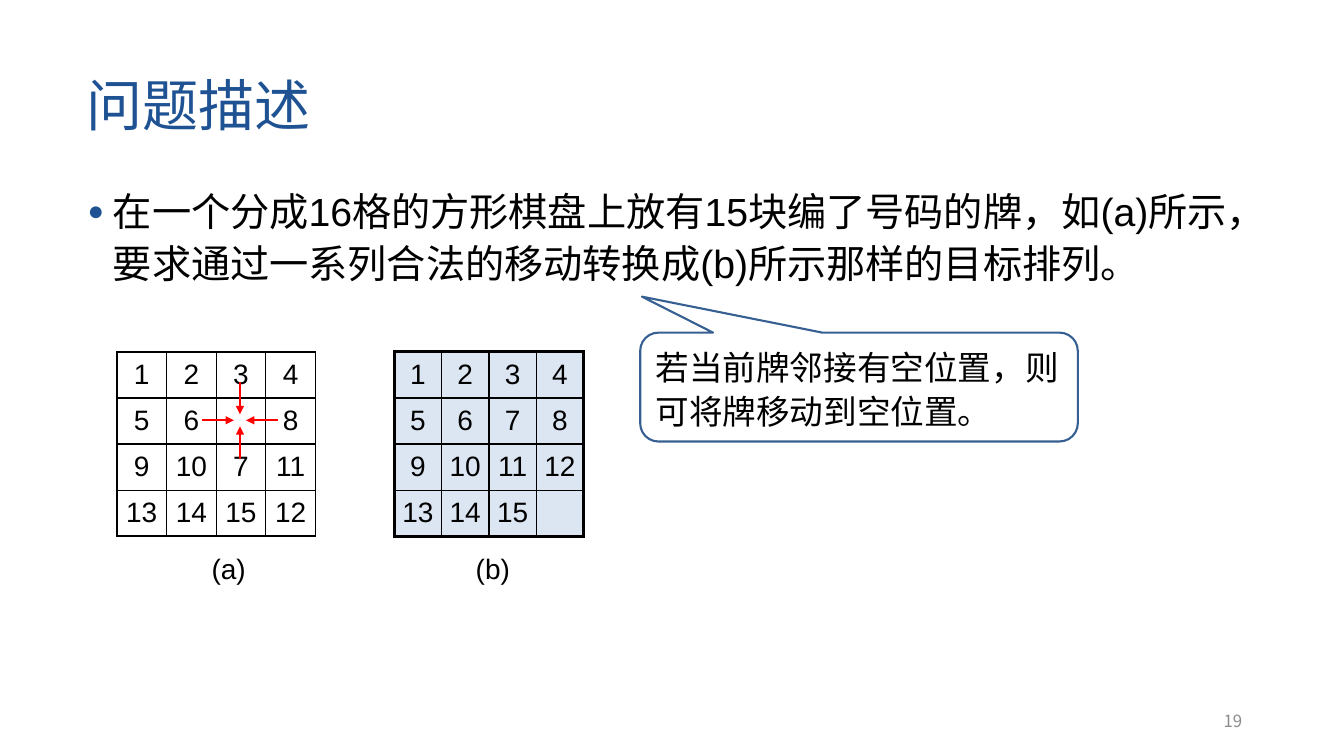
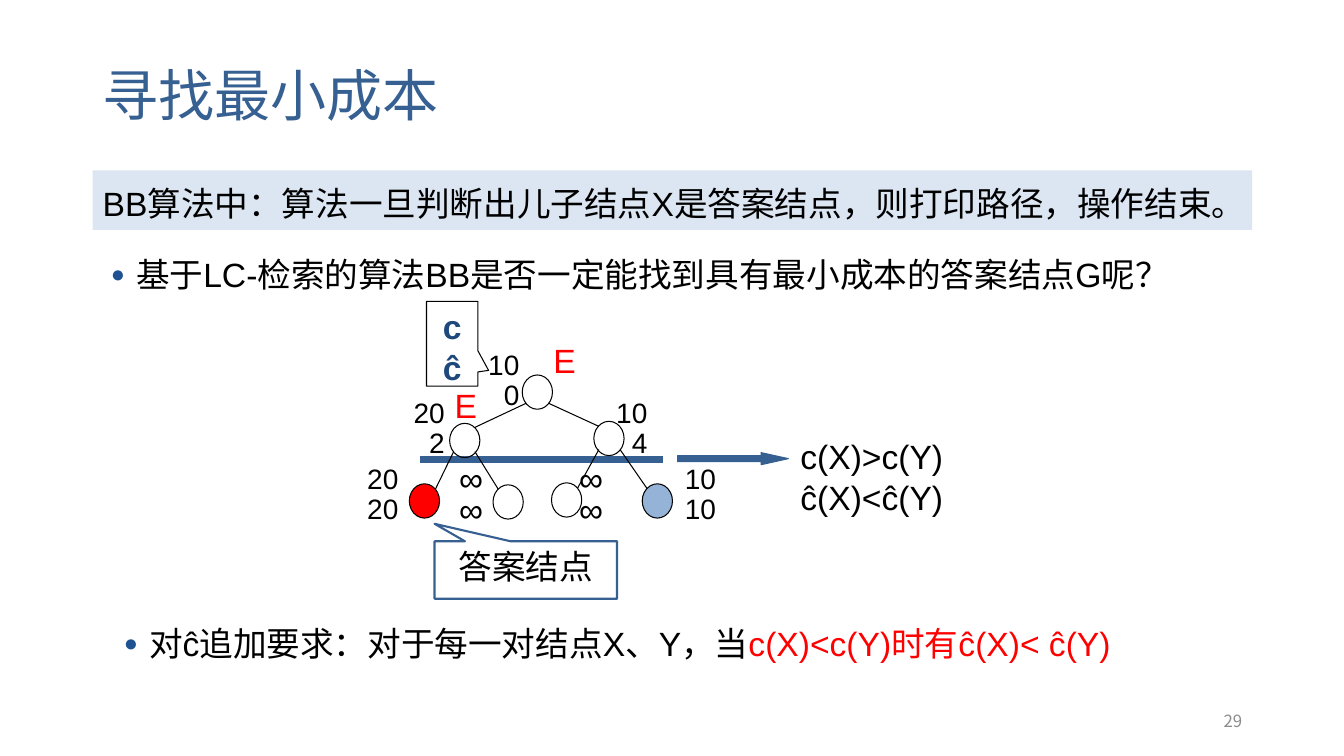
import lxml.etree
import pptx
import pptx.dml.color
import pptx.enum.shapes
import pptx.enum.text
import pptx.oxml.ns
import pptx.util

Inches = pptx.util.Inches
Pt = pptx.util.Pt
qn = pptx.oxml.ns.qn
Shape = pptx.enum.shapes.MSO_SHAPE
Align = pptx.enum.text.PP_ALIGN
Anchor = pptx.enum.text.MSO_ANCHOR

HUES = {
    "title": "1E5293", "steel": "376092", "navy": "1F497D", "pale": "DCE6F2",
    "sky": "95B3D7", "red": "FF0000", "black": "000000", "gray": "8C8C8C",
}
LATIN, HAN = "Arial", "Noto Sans CJK SC"


def hue(name):
    return pptx.dml.color.RGBColor.from_string(HUES[name])


def add_tag(parent, tag, **attrs):
    return lxml.etree.SubElement(parent, qn(tag), attrs)


class Deck:
    """Holds the shared style and the current slide."""

    def __init__(self):
        self.prs = pptx.Presentation()
        self.prs.slide_width = Inches(13.33)
        self.prs.slide_height = Inches(7.5)
        self.slide = None

    def start(self, title, number, left, top, color):
        self.slide = self.prs.slides.add_slide(self.prs.slide_layouts[1])
        head = self.slide.shapes.title
        self.place(head, left, top, 11.5, 1.45)
        self.put(head.text_frame, [title], 40, color, anchor=Anchor.MIDDLE, gap=0.9)
        self.text(9.42, 6.95, 3, 0.4, [str(number)], 12, "gray", font=HAN,
                  align=Align.RIGHT, anchor=Anchor.MIDDLE)

    def place(self, shape, left, top, width, height):
        shape.left, shape.top = Inches(left), Inches(top)
        shape.width, shape.height = Inches(width), Inches(height)

    def put(self, frame, lines, size, color="black", font=LATIN, align=Align.LEFT,
            anchor=Anchor.TOP, gap=1.0, bold=False, wrap=True, bullet=False):
        """Each line is a string or a list of (text, color) runs."""
        frame.word_wrap = wrap
        frame.auto_size = pptx.enum.text.MSO_AUTO_SIZE.NONE
        frame.vertical_anchor = anchor
        for i, line in enumerate(lines):
            para = frame.add_paragraph() if i else frame.paragraphs[0]
            if bullet:
                self.mark(para)
            para.alignment = align
            para.line_spacing = gap
            para.space_before = Pt(0)
            runs = [(line, color)] if isinstance(line, str) else line
            for words, tint in runs:
                run = para.add_run()
                run.text = words
                self.style(run, size, tint, font, bold)

    def style(self, run, size, color, font=LATIN, bold=False):
        run.font.size = Pt(size)
        run.font.bold = bold
        run.font.color.rgb = hue(color)
        run.font.name = font
        add_tag(run.font._element, "a:ea", typeface=HAN)

    def mark(self, para):
        props = para._p.get_or_add_pPr()
        props.set("marL", str(Inches(0.25)))
        props.set("indent", str(Inches(-0.25)))
        add_tag(add_tag(props, "a:buClr"), "a:srgbClr", val=HUES["title"])
        add_tag(props, "a:buSzPct", val="70000")
        add_tag(props, "a:buFont", typeface=LATIN)
        add_tag(props, "a:buChar", char="●")

    def body(self, left, top, width, height, words, size):
        shape = self.slide.placeholders[1]
        self.place(shape, left, top, width, height)
        self.put(shape.text_frame, [words], size, gap=1.1, bullet=True)

    def text(self, left, top, width, height, lines, size, color="black", **looks):
        box = self.slide.shapes.add_textbox(
            Inches(left), Inches(top), Inches(width), Inches(height))
        self.put(box.text_frame, lines, size, color, **looks)

    def shape(self, kind, left, top, width, height, fill=None, line=None,
              weight=0.75, tweaks=()):
        item = self.slide.shapes.add_shape(
            kind, Inches(left), Inches(top), Inches(width), Inches(height))
        item.shadow.inherit = False
        if fill:
            item.fill.solid()
            item.fill.fore_color.rgb = hue(fill)
        else:
            item.fill.background()
        if line:
            item.line.color.rgb = hue(line)
            item.line.width = Pt(weight)
        else:
            item.line.fill.background()
        for i, value in enumerate(tweaks):
            item.adjustments[i] = value
        return item

    def line(self, start, end, color, weight, arrow=False):
        link = self.slide.shapes.add_connector(
            pptx.enum.shapes.MSO_CONNECTOR.STRAIGHT,
            *(Inches(value) for value in (*start, *end)))
        link.line.color.rgb = hue(color)
        link.line.width = Pt(weight)
        if arrow:
            add_tag(link.line._get_or_add_ln(), "a:tailEnd", type="triangle")
        add_tag(link._element.spPr, "a:effectLst")

    def table(self, left, top, width, height, rows, edge, fill=None):
        count = len(rows)
        grid = self.slide.shapes.add_table(
            count, count, Inches(left), Inches(top), Inches(width), Inches(height)).table
        grid.first_row = grid.horz_banding = False
        for i in range(count):
            grid.columns[i].width = Inches(width / count)
            grid.rows[i].height = Inches(height / count)
        for r, row in enumerate(rows):
            for c, value in enumerate(row):
                cell = grid.cell(r, c)
                cell.margin_left = cell.margin_right = 0
                cell.margin_top = cell.margin_bottom = 0
                cell.vertical_anchor = Anchor.MIDDLE
                para = cell.text_frame.paragraphs[0]
                para.alignment = Align.CENTER
                if value:
                    run = para.add_run()
                    run.text = str(value)
                    self.style(run, 20, "black")
                if fill:
                    cell.fill.solid()
                    cell.fill.fore_color.rgb = hue(fill)
                else:
                    cell.fill.background()
                outer = {"a:lnL": c == 0, "a:lnR": c == count - 1,
                         "a:lnT": r == 0, "a:lnB": r == count - 1}
                self.frame(cell, outer, edge)

    def frame(self, cell, outer, edge):
        props = cell._tc.get_or_add_tcPr()
        for i, (tag, is_edge) in enumerate(outer.items()):
            rule = add_tag(props, tag, w=str(Pt(edge if is_edge else 1)))
            add_tag(add_tag(rule, "a:solidFill"), "a:srgbClr", val=HUES["black"])
            props.insert(i, rule)


def puzzle(deck):
    deck.start("问题描述", 19, 0.76, 0.35, "title")
    deck.body(0.77, 1.76, 11.5, 1.27,
              "在一个分成16格的方形棋盘上放有15块编了号码的牌，如(a)所示，"
              "要求通过一系列合法的移动转换成(b)所示那样的目标排列。", 28)

    # Start board and goal board; None is the empty cell
    first = [[1, 2, 3, 4], [5, 6, None, 8], [9, 10, 7, 11], [13, 14, 15, 12]]
    goal = [[1, 2, 3, 4], [5, 6, 7, 8], [9, 10, 11, 12], [13, 14, 15, None]]
    deck.table(1.16, 3.49, 1.97, 1.83, first, 1.5)
    deck.table(3.91, 3.49, 1.88, 1.83, goal, 2.25, "pale")
    for left, label in ((2, "(a)"), (4.62, "(b)")):
        deck.text(left, 5.42, 0.58, 0.43, [label], 20)

    # Arrows that point into the empty cell
    x, y, far, near = 2.38, 4.17, 0.38, 0.06
    for dx, dy in ((-1, 0), (0, 1), (1, 0), (0, -1)):
        deck.line((x + dx * far, y + dy * far), (x + dx * near, y + dy * near),
                  "red", 1.5, arrow=True)

    # Callout with the move rule
    note = deck.shape(Shape.ROUNDED_RECTANGULAR_CALLOUT, 6.35, 3.3, 4.34, 1.08,
                      line="steel", weight=1.5, tweaks=(-0.496, -0.831, 0.167))
    deck.put(note.text_frame, ["若当前牌邻接有空位置，则可将牌移动到空位置。"], 24,
             font=HAN, gap=1.1)


def search(deck):
    deck.start("寻找最小成本", 29, 0.92, 0.25, "steel")
    deck.body(1, 2.43, 11.5, 0.77,
              "基于LC-检索的算法BB是否一定能找到具有最小成本的答案结点G呢？", 24)

    # Banner and closing demand
    band = deck.shape(Shape.RECTANGLE, 0.92, 1.69, 11.5, 0.59, fill="pale")
    deck.put(band.text_frame,
             ["BB算法中：算法一旦判断出儿子结点X是答案结点，则打印路径，操作结束。"],
             24, gap=1.2)
    deck.text(1.13, 6.09, 10.79, 0.55,
              [[("对ĉ追加要求：对于每一对结点X、Y，当", "black"),
                ("c(X)<c(Y)时有ĉ(X)< ĉ(Y)", "red")]], 24, gap=1.1, bullet=True)

    # Callouts
    note = deck.shape(Shape.RECTANGULAR_CALLOUT, 4.31, 5.37, 1.81, 0.57,
                      line="steel", weight=1.5, tweaks=(-0.5, -0.804))
    deck.put(note.text_frame, ["答案结点"], 24, font=HAN, align=Align.CENTER)
    key = deck.shape(Shape.RECTANGULAR_CALLOUT, 4.23, 2.99, 0.51, 0.84,
                     line="black", tweaks=(0.708, 0.315))
    deck.put(key.text_frame, ["c", "ĉ"], 24, "navy", align=Align.CENTER, bold=True)

    # Level bar and what it shows
    deck.line((4.17, 4.56), (6.58, 4.56), "steel", 4.5)
    deck.shape(Shape.RIGHT_ARROW, 6.72, 4.49, 1.1, 0.12, fill="steel", line="steel",
               tweaks=(0.5, 2.257))
    deck.text(7.84, 4.28, 1.63, 0.91, ["c(X)>c(Y)", "ĉ(X)<ĉ(Y)"], 24, wrap=False)

    # Tree edges
    edges = [((5.22, 4), (4.71, 4.24)), ((5.44, 4), (5.94, 4.23)),
             ((4.5, 4.48), (4.32, 4.85)), ((4.71, 4.48), (4.94, 4.85)),
             ((5.94, 4.46), (5.73, 4.84)), ((6.15, 4.46), (6.42, 4.85))]
    for start, end in edges:
        deck.line(start, end, "black", 0.75)

    # Tree nodes: left, top, fill
    nodes = [(5.18, 3.72, None), (4.46, 4.2, None), (5.89, 4.18, None),
             (4.06, 4.8, "red"), (4.89, 4.81, None), (5.47, 4.79, None),
             (6.37, 4.8, "sky")]
    for left, top, fill in nodes:
        deck.shape(Shape.OVAL, left, top, 0.3, 0.34, fill=fill, line="black")

    # Cost over estimate beside each node
    costs = [(4.55, 3.43, "10", "0", 20), (3.81, 3.91, "20", "2", 20),
             (5.82, 3.91, "10", "4", 20), (3.35, 4.56, "20", "20", 20),
             (4.19, 4.6, "∞", "∞", 24), (5.38, 4.6, "∞", "∞", 24),
             (6.5, 4.56, "10", "10", 20)]
    for left, top, cost, guess, size in costs:
        deck.text(left, top, 0.7, 0.7, [cost, guess], size, align=Align.RIGHT,
                  gap=Pt(21.5))
    for left, top in ((5.39, 3.32), (4.41, 3.77)):
        deck.text(left, top, 0.5, 0.5, ["E"], 24, "red")


def main():
    deck = Deck()
    puzzle(deck)
    search(deck)
    deck.prs.save("out.pptx")


if __name__ == "__main__":
    main()
